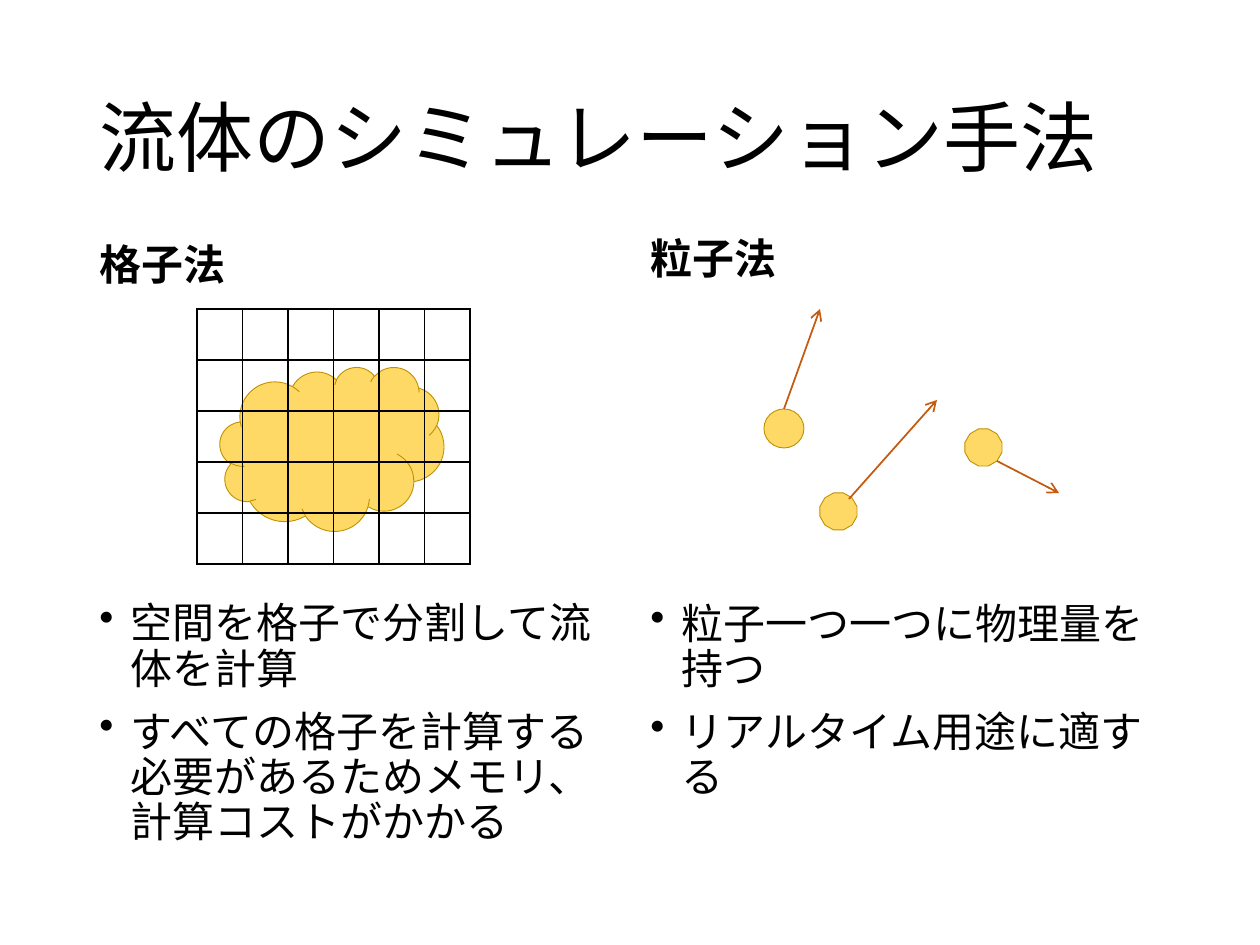
import dataclasses

import lxml.etree
import pptx
import pptx.dml.color
import pptx.enum.shapes
import pptx.enum.text
import pptx.oxml
import pptx.oxml.ns
import pptx.util

EMU_PER_PX = 914400 / 126
SHAPES = pptx.enum.shapes.MSO_SHAPE
ANCHOR = pptx.enum.text.MSO_ANCHOR


@dataclasses.dataclass(frozen=True)
class Theme:
    """Colours, font and sizes of the slide."""

    font: str = "Calibri"
    ink: str = "000000"
    fluid: str = "FFD966"
    fluid_edge: str = "BF9000"
    velocity: str = "C55A11"
    title_size: int = 44
    body_size: int = 24
    edge_width: float = 0.5
    rule_width: int = 1


THEME = Theme()


def px(length):
    """Turn pixels into EMU."""
    return pptx.util.Emu(round(length * EMU_PER_PX))


def rgb(colour):
    """Turn a hex string into a colour."""
    return pptx.dml.color.RGBColor.from_string(colour)


def add_bullet(paragraph):
    """Give a paragraph a hanging bullet."""
    properties = paragraph._p.get_or_add_pPr()
    indent = pptx.util.Inches(0.25)
    properties.set("marL", str(indent))
    properties.set("indent", str(-indent))
    bullet = lxml.etree.SubElement(properties, pptx.oxml.ns.qn("a:buChar"))
    bullet.set("char", "•")


def add_text(slide, box, lines, anchor, size=THEME.body_size, bold=False, bulleted=False):
    """Add a text box with one paragraph per line."""
    frame = slide.shapes.add_textbox(*map(px, box)).text_frame
    frame.word_wrap = True
    frame.vertical_anchor = anchor
    for index, line in enumerate(lines):
        paragraph = frame.add_paragraph() if index else frame.paragraphs[0]
        paragraph.line_spacing = 0.9
        paragraph.space_before = pptx.util.Pt(10 if index else 0)
        if bulleted:
            add_bullet(paragraph)
        run = paragraph.add_run()
        run.text = line
        run.font.name = THEME.font
        run.font.size = pptx.util.Pt(size)
        run.font.bold = bold
        run.font.color.rgb = rgb(THEME.ink)


def add_fluid(slide, preset, box):
    """Add a fluid body or particle."""
    fluid = slide.shapes.add_shape(preset, *map(px, box))
    fluid.shadow.inherit = False
    fluid.fill.solid()
    fluid.fill.fore_color.rgb = rgb(THEME.fluid)
    fluid.line.color.rgb = rgb(THEME.fluid_edge)
    fluid.line.width = pptx.util.Pt(THEME.edge_width)


def add_velocity(slide, start, end):
    """Add an arrow from a particle along its motion."""
    arrow = slide.shapes.add_connector(
        pptx.enum.shapes.MSO_CONNECTOR.STRAIGHT, *map(px, start + end)
    )
    arrow.line.color.rgb = rgb(THEME.velocity)
    arrow.line.width = pptx.util.Pt(THEME.rule_width)
    qn = pptx.oxml.ns.qn
    head = lxml.etree.SubElement(arrow.line._get_or_add_ln(), qn("a:tailEnd"))
    head.set("type", "arrow")
    lxml.etree.SubElement(arrow._element.spPr, qn("a:effectLst"))


def rule_cell(cell):
    """Clear a cell's fill and rule its four sides."""
    cell.fill.background()
    cell.margin_left = cell.margin_right = cell.margin_top = cell.margin_bottom = 0
    properties = cell._tc.get_or_add_tcPr()
    for index, side in enumerate("LRTB"):
        border = pptx.oxml.parse_xml(
            f'<a:ln{side} {pptx.oxml.ns.nsdecls("a")} w="{pptx.util.Pt(THEME.rule_width)}">'
            f'<a:solidFill><a:srgbClr val="{THEME.ink}"/></a:solidFill></a:ln{side}>'
        )
        properties.insert(index, border)


def add_grid(slide, box, rows, columns):
    """Add an evenly divided, unfilled grid."""
    left, top, width, height = map(px, box)
    grid = slide.shapes.add_table(rows, columns, left, top, width, height).table
    grid.first_row = grid.horz_banding = False
    for column in grid.columns:
        column.width = width // columns
    for row in grid.rows:
        row.height = height // rows
    for cell in grid.iter_cells():
        rule_cell(cell)


def main():
    """Build and save the slide."""
    deck = pptx.Presentation()
    deck.slide_width, deck.slide_height = px(1260), px(945)
    slide = deck.slides.add_slide(deck.slide_layouts[6])

    add_text(slide, (87, 50, 1086, 183), ["流体のシミュレーション手法"],
             ANCHOR.MIDDLE, size=THEME.title_size)
    add_text(slide, (87, 232, 533, 64), ["格子法"], ANCHOR.BOTTOM, bold=True)
    add_text(slide, (638, 232, 535, 64), ["粒子法"], ANCHOR.TOP, bold=True)
    add_text(slide, (87, 580, 533, 273),
             ["空間を格子で分割して流体を計算",
              "すべての格子を計算する必要があるためメモリ、計算コストがかかる"],
             ANCHOR.BOTTOM, bulleted=True)
    add_text(slide, (638, 580, 535, 228),
             ["粒子一つ一つに物理量を持つ", "リアルタイム用途に適する"],
             ANCHOR.BOTTOM, bulleted=True)

    add_fluid(slide, SHAPES.CLOUD, (220, 367, 224, 164))
    add_grid(slide, (197, 309, 273, 255), rows=5, columns=6)

    particles = [
        (SHAPES.OVAL, (764, 409, 40, 39), (784, 409), (820, 309)),
        (SHAPES.DODECAGON, (820, 493, 37, 37), (849, 499), (937, 400)),
        (SHAPES.DODECAGON, (965, 429, 37, 37), (997, 461), (1059, 493)),
    ]
    for preset, box, start, end in particles:
        add_fluid(slide, preset, box)
        add_velocity(slide, start, end)

    deck.save("out.pptx")


if __name__ == "__main__":
    main()
